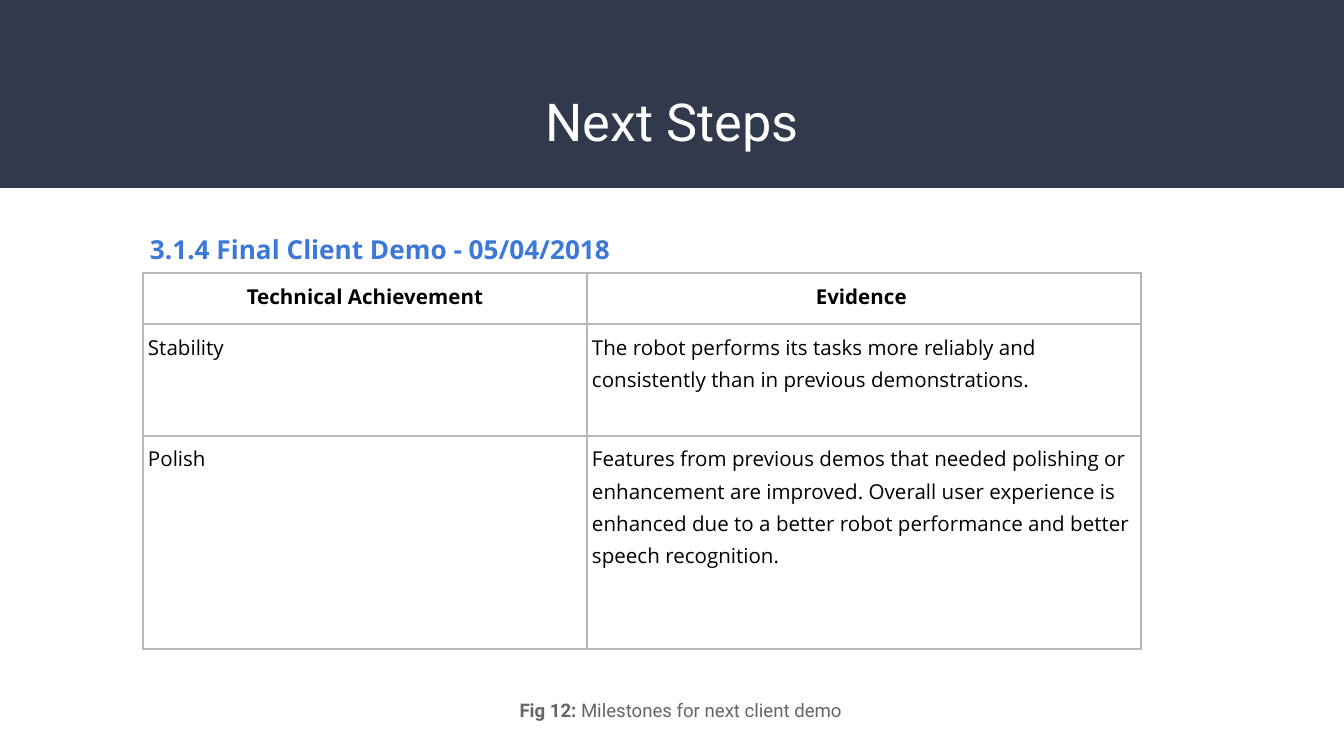
from lxml import etree
from pptx import Presentation
from pptx.dml.color import RGBColor
from pptx.enum.shapes import MSO_SHAPE
from pptx.enum.text import MSO_ANCHOR, PP_ALIGN
from pptx.oxml.ns import qn
from pptx.util import Pt

RECTANGLE = MSO_SHAPE.RECTANGLE
TOP, BOTTOM = MSO_ANCHOR.TOP, MSO_ANCHOR.BOTTOM
LEFT, CENTER = PP_ALIGN.LEFT, PP_ALIGN.CENTER

EMU_PER_PX = 9144000 / 1344
COLORS = {
    "band": "31394D",
    "white": "FFFFFF",
    "heading": "3C78D8",
    "caption": "666666",
    "text": "000000",
    "border": "B7B7B7",
}


def emu(*pixels):
    return [round(value * EMU_PER_PX) for value in pixels]


def write(frame, text, *, size, color, font="Open Sans", bold=False,
          align=LEFT, spacing=None, anchor=TOP, margins=(5, 5)):
    """Append a run to the frame's first paragraph; margins are x and y in px."""
    frame.word_wrap = True
    frame.vertical_anchor = anchor
    margin_x, margin_y = emu(*margins)
    frame.margin_left = frame.margin_right = margin_x
    frame.margin_top = frame.margin_bottom = margin_y
    paragraph = frame.paragraphs[0]
    paragraph.alignment = align
    if spacing:
        paragraph.line_spacing = spacing
    run = paragraph.add_run()
    run.text = text
    run.font.name = font
    run.font.size = Pt(size)
    run.font.bold = bold
    run.font.color.rgb = RGBColor.from_string(COLORS[color])


presentation = Presentation()
presentation.slide_width, presentation.slide_height = emu(1344, 756)
slide = presentation.slides.add_slide(presentation.slide_layouts[6])

# Title band
band = slide.shapes.add_shape(RECTANGLE, *emu(0, 0, 1344, 188))
band.shadow.inherit = False
band.fill.solid()
band.fill.fore_color.rgb = RGBColor.from_string(COLORS["band"])
band.line.fill.background()

title = slide.shapes.add_textbox(*emu(46, 74, 1252, 91))
write(title.text_frame, "Next Steps", size=28, color="white", font="Roboto",
      align=CENTER, anchor=BOTTOM, margins=(13, 13))

# Figure caption
caption = slide.shapes.add_textbox(*emu(143, 688, 1075, 43))
for text, bold in (("Fig 12:", True), (" Milestones for next client demo", False)):
    write(caption.text_frame, text, size=10, color="caption", font="Roboto",
          bold=bold, align=CENTER, margins=(13, 13))

# Milestone table
milestones = [
    ("Technical Achievement", "Evidence "),
    ("Stability", "The robot performs its tasks more reliably and consistently "
                  "than in previous demonstrations."),
    ("Polish", "Features from previous demos that needed polishing or enhancement "
               "are improved. Overall user experience is enhanced due to a better "
               "robot performance and better speech recognition."),
]
column_widths = [444, 554]
row_heights = [51, 112, 213]
table = slide.shapes.add_table(
    len(row_heights), len(column_widths),
    *emu(143, 273, sum(column_widths), sum(row_heights))).table
table.horz_banding = False
for column, width in zip(table.columns, emu(*column_widths)):
    column.width = width
for row, height in zip(table.rows, emu(*row_heights)):
    row.height = height

for row_index, texts in enumerate(milestones):
    is_header = row_index == 0
    for column_index, text in enumerate(texts):
        cell = table.cell(row_index, column_index)
        write(cell.text_frame, text, size=11, color="text", bold=is_header,
              align=CENTER if is_header else LEFT, spacing=1.15)
        cell.vertical_anchor = TOP
        cell.margin_left, cell.margin_right, cell.margin_top, cell.margin_bottom = emu(5, 5, 5, 5)
        properties = cell._tc.get_or_add_tcPr()
        for attribute in ("wrap", "lIns", "rIns", "tIns", "bIns"):
            properties.attrib.pop(attribute, None)
        for side in ("lnL", "lnR", "lnT", "lnB"):
            border = etree.SubElement(properties, qn(f"a:{side}"), w=str(Pt(1)))
            fill = etree.SubElement(border, qn("a:solidFill"))
            etree.SubElement(fill, qn("a:srgbClr"), val=COLORS["border"])
        cell.fill.background()

# Table heading
heading = slide.shapes.add_textbox(*emu(137, 222, 539, 50))
write(heading.text_frame, "3.1.4 Final Client Demo - 05/04/2018", size=14,
      color="heading", bold=True, spacing=1.15, margins=(13, 7))

presentation.save("out.pptx")
